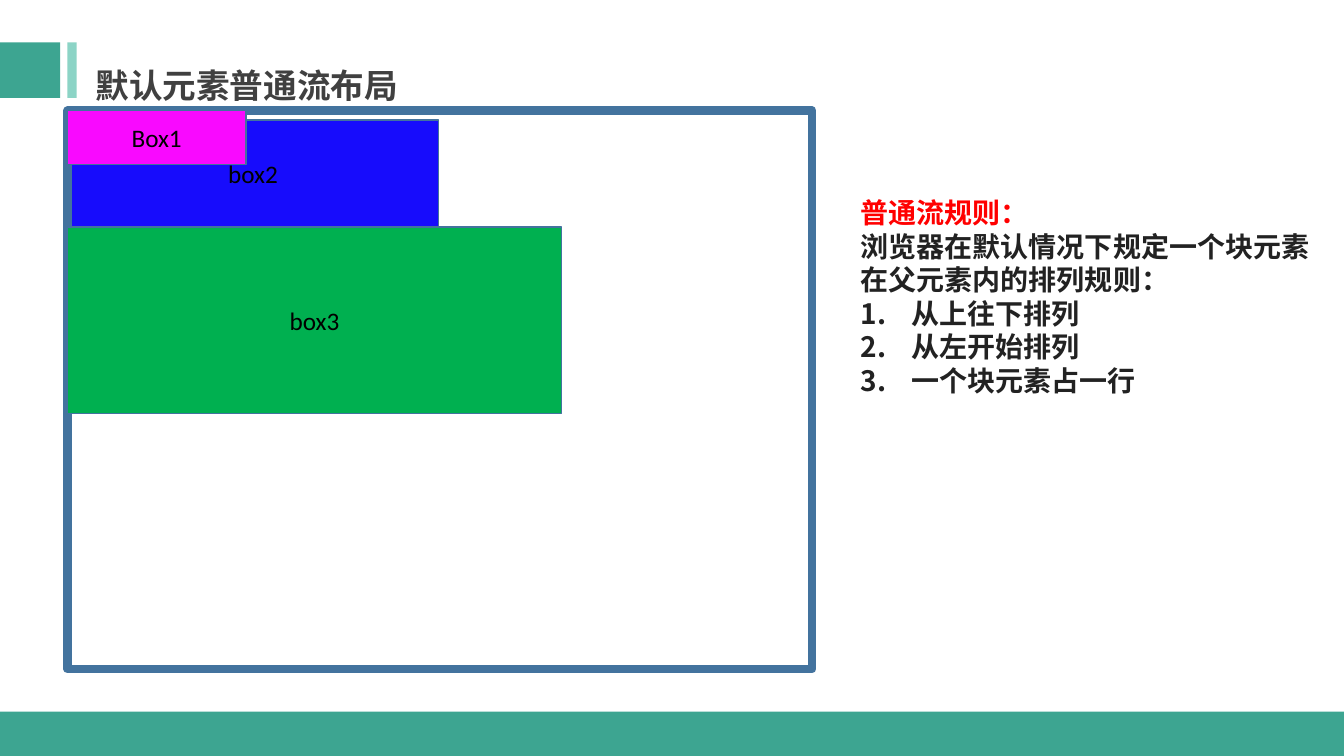
from lxml.etree import SubElement
from pptx import Presentation
from pptx.dml.color import RGBColor
from pptx.enum.shapes import MSO_SHAPE
from pptx.enum.text import MSO_ANCHOR, PP_ALIGN
from pptx.oxml.ns import qn
from pptx.util import Cm, Pt

CJK_FONT = "Noto Sans CJK SC"
TEAL = "3DA591"
BORDER = "43739E"
BODY_COLOR = "222222"
FLOW_LEFT = 1.7
FLOW_TOP = 2.79


def rgb(color):
    return RGBColor.from_string(color)


def add_block(slide, left, top, width, height, fill=None, line=None, line_width=1):
    """Add a rectangle placed in centimetres; without fill or line it has none."""
    block = slide.shapes.add_shape(
        MSO_SHAPE.RECTANGLE, Cm(left), Cm(top), Cm(width), Cm(height)
    )
    block.shadow.inherit = False
    if fill:
        block.fill.solid()
        block.fill.fore_color.rgb = rgb(fill)
    else:
        block.fill.background()
    if line:
        block.line.color.rgb = rgb(line)
        block.line.width = Pt(line_width)
    else:
        block.line.fill.background()
    return block


def number_paragraph(paragraph):
    properties = paragraph._p.get_or_add_pPr()
    properties.set("marL", str(Cm(1.27)))
    properties.set("indent", str(Cm(-1.27)))
    SubElement(properties, qn("a:buFont"), typeface="+mj-lt")
    SubElement(properties, qn("a:buAutoNum"), type="arabicPeriod")


def write(paragraph, text, font=CJK_FONT, size=20, color=BODY_COLOR, bold=True,
          align=PP_ALIGN.LEFT, numbered=False):
    if numbered:
        number_paragraph(paragraph)
    paragraph.alignment = align
    run = paragraph.add_run()
    run.text = text
    run.font.name = font
    run.font.size = Pt(size)
    run.font.bold = bold
    run.font.color.rgb = rgb(color)
    SubElement(run.font._element, qn("a:ea"), typeface=font)


def add_flow_box(slide, label, top, width, height, fill):
    box = add_block(slide, FLOW_LEFT, top, width, height, fill, BORDER)
    box.text_frame.vertical_anchor = MSO_ANCHOR.MIDDLE
    write(box.text_frame.paragraphs[0], label, font="Calibri", size=18,
          color="000000", bold=False, align=PP_ALIGN.CENTER)


def add_title(slide, text):
    add_block(slide, 0, 1.07, 1.52, 1.4, TEAL)
    add_block(slide, FLOW_LEFT, 1.07, 0.23, 1.4, "8CD4C6")
    title = add_block(slide, 2.16, 1.5, 14.55, 1.27, "FFFFFF")
    title.text_frame.vertical_anchor = MSO_ANCHOR.TOP
    write(title.text_frame.paragraphs[0], text, size=24, color="404040")


def add_rules(slide, heading, intro, rules):
    frame = slide.shapes.add_textbox(Cm(21.44), Cm(4.8), Cm(12.42), Cm(5.38)).text_frame
    frame.word_wrap = True
    write(frame.paragraphs[0], heading, color="FF0000")
    write(frame.add_paragraph(), intro)
    for rule in rules:
        write(frame.add_paragraph(), rule, numbered=True)


def main():
    presentation = Presentation()
    presentation.slide_width = Cm(33.87)
    presentation.slide_height = Cm(19.05)
    slide = presentation.slides.add_slide(presentation.slide_layouts[6])

    add_flow_box(slide, "box2", 3.02, 9.35, 2.69, "170CFC")
    add_title(slide, "默认元素普通流布局")
    add_block(slide, 0, 17.93, 33.87, 1.12, TEAL)
    add_block(slide, FLOW_LEFT, FLOW_TOP, 18.77, 14.07, line=BORDER, line_width=6)
    add_flow_box(slide, "box3", 5.72, 12.45, 4.7, "00B050")
    add_rules(
        slide,
        "普通流规则：",
        "浏览器在默认情况下规定一个块元素在父元素内的排列规则：",
        ["从上往下排列", "从左开始排列", "一个块元素占一行"],
    )
    add_flow_box(slide, "Box1", FLOW_TOP, 4.5, 1.35, "F909FF")

    presentation.save("out.pptx")


if __name__ == "__main__":
    main()
